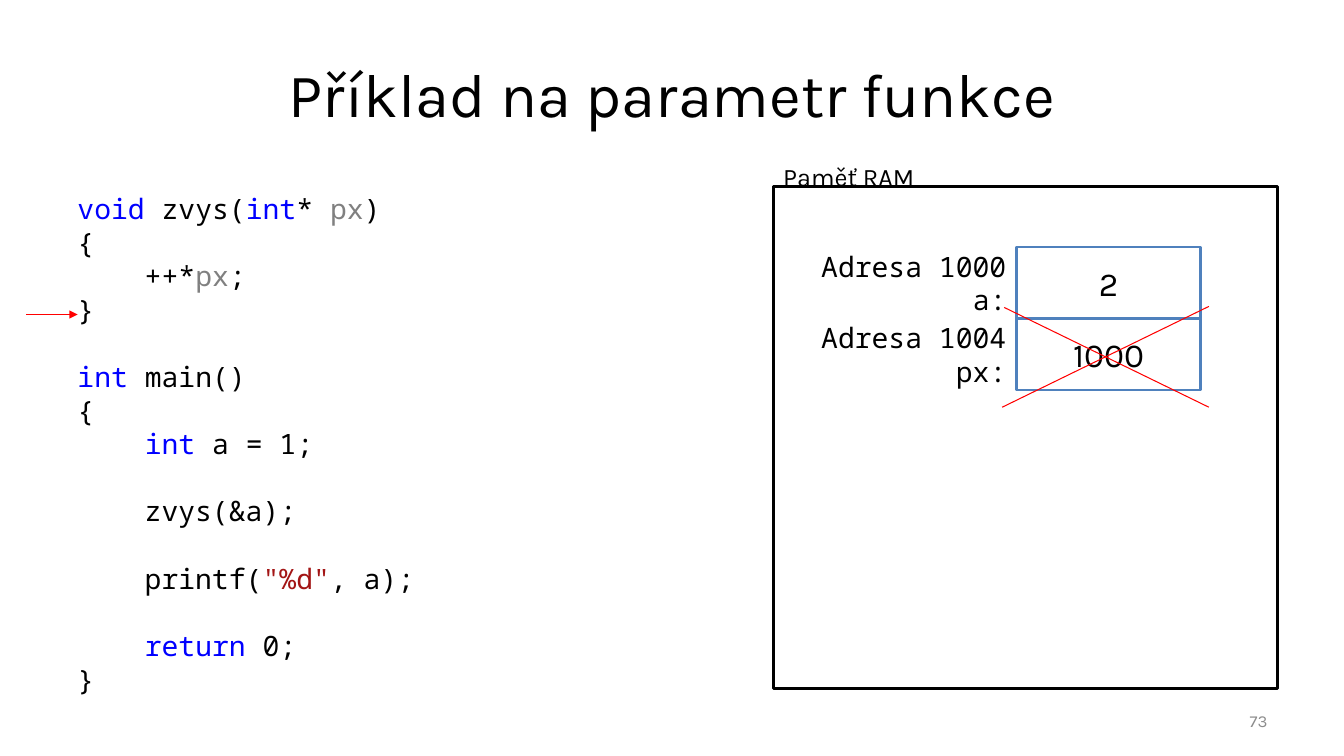
from lxml import etree
from pptx import Presentation
from pptx.dml.color import RGBColor
from pptx.enum import shapes, text
from pptx.oxml.ns import qn
from pptx.util import Inches, Pt

BLACK = RGBColor(0x00, 0x00, 0x00)
WHITE = RGBColor(0xFF, 0xFF, 0xFF)
GRAY = RGBColor(0x8C, 0x8C, 0x8C)
CELL_BLUE = RGBColor(0x4F, 0x81, 0xBD)
KEYWORD = RGBColor(0x00, 0x00, 0xFF)
PARAMETER = RGBColor(0x80, 0x80, 0x80)
STRING = RGBColor(0xA3, 0x15, 0x15)
RED = RGBColor(0xFF, 0x00, 0x00)

SANS = "Karla"
MONO = "Noto Sans Mono"
CODE_SIZE = 20
CODE_LINE = Pt(24)

CODE = [
    [("void ", KEYWORD), ("zvys(", BLACK), ("int", KEYWORD), ("* ", BLACK),
     ("px", PARAMETER), (")", BLACK)],
    [("{", BLACK)],
    [("    ++*", BLACK), ("px", PARAMETER), (";", BLACK)],
    [("}", BLACK)],
    None,
    [("int ", KEYWORD), ("main()", BLACK)],
    [("{", BLACK)],
    [("    ", BLACK), ("int", KEYWORD), (" a = 1;", BLACK)],
    None,
    [("    zvys(&a);", BLACK)],
    None,
    [("    printf(", BLACK), ('"%d"', STRING), (", a);", BLACK)],
    None,
    [("    ", BLACK), ("return", KEYWORD), (" 0;", BLACK)],
    [("}", BLACK)],
]

MEMORY = [("Adresa 1000", "a:", "2"), ("Adresa 1004", "px:", "1000")]


def add_run(paragraph, words, size, font, color=BLACK):
    run = paragraph.add_run()
    run.text = words
    run.font.size = Pt(size)
    run.font.name = font
    run.font.color.rgb = color


def add_label(slide, box, lines, size, font, color=BLACK,
              align=text.PP_ALIGN.LEFT, anchor=text.MSO_ANCHOR.TOP):
    frame = slide.shapes.add_textbox(*map(Inches, box)).text_frame
    frame.word_wrap = True
    frame.vertical_anchor = anchor
    for index, line in enumerate(lines):
        paragraph = frame.add_paragraph() if index else frame.paragraphs[0]
        paragraph.alignment = align
        if font == MONO:
            paragraph.line_spacing = CODE_LINE
        add_run(paragraph, line, size, font, color)


def add_code(slide, box):
    frame = slide.shapes.add_textbox(*map(Inches, box)).text_frame
    frame.word_wrap = True
    paragraph = frame.paragraphs[0]
    after_gap = False
    for index, tokens in enumerate(CODE):
        if tokens is None:
            after_gap = True
            continue
        if index:
            paragraph = frame.add_paragraph()
        paragraph.line_spacing = CODE_LINE
        if after_gap:
            paragraph.space_before = CODE_LINE
        after_gap = False
        for words, color in tokens:
            add_run(paragraph, words, CODE_SIZE, MONO, color)


def add_box(slide, box, border, value=None):
    rectangle = slide.shapes.add_shape(
        shapes.MSO_SHAPE.RECTANGLE, *map(Inches, box))
    rectangle.shadow.inherit = False
    rectangle.fill.solid()
    rectangle.fill.fore_color.rgb = WHITE
    rectangle.line.color.rgb = border
    rectangle.line.width = Pt(2)
    if value:
        frame = rectangle.text_frame
        frame.vertical_anchor = text.MSO_ANCHOR.MIDDLE
        frame.paragraphs[0].alignment = text.PP_ALIGN.CENTER
        add_run(frame.paragraphs[0], value, 24, SANS)


def add_red_line(slide, ends, arrow=False):
    connector = slide.shapes.add_connector(
        shapes.MSO_CONNECTOR.STRAIGHT, *map(Inches, ends))
    connector.line.color.rgb = RED
    connector.line.width = Pt(0.75)
    if arrow:
        outline = connector.line._get_or_add_ln()
        etree.SubElement(outline, qn("a:tailEnd"), type="triangle")
    etree.SubElement(connector._element.spPr, qn("a:effectLst"))


def add_title(slide, words):
    title = slide.shapes.title
    title.left, title.top = Inches(0.67), Inches(0.3)
    title.width, title.height = Inches(12), Inches(1.25)
    frame = title.text_frame
    frame.vertical_anchor = text.MSO_ANCHOR.MIDDLE
    frame.paragraphs[0].alignment = text.PP_ALIGN.CENTER
    add_run(frame.paragraphs[0], words, 44, SANS)


def add_memory(slide):
    add_box(slide, (7.67, 1.85, 5, 4.98), BLACK)
    add_label(slide, (7.67, 1.55, 1.86, 0.4), ["Paměť RAM"], 18, SANS)
    cell_height = 0.71
    for row, (address, variable, value) in enumerate(MEMORY):
        top = 2.45 + row * cell_height
        add_box(slide, (10.08, top, 1.83, cell_height), CELL_BLUE, value)
        add_label(slide, (8, top - 0.03, 2.08, 0.77), [address, variable],
                  CODE_SIZE, MONO, align=text.PP_ALIGN.RIGHT,
                  anchor=text.MSO_ANCHOR.MIDDLE)


def main():
    presentation = Presentation()
    presentation.slide_width = Inches(13.33)
    presentation.slide_height = Inches(7.5)
    slide = presentation.slides.add_slide(presentation.slide_layouts[5])
    add_title(slide, "Příklad na parametr funkce")
    add_label(slide, (9.56, 6.95, 3.11, 0.4), ["73"], 12, SANS, GRAY,
              text.PP_ALIGN.RIGHT, text.MSO_ANCHOR.MIDDLE)
    add_memory(slide)
    add_code(slide, (0.67, 1.85, 5, 5.12))
    add_red_line(slide, (0.26, 3.12, 0.77, 3.12), arrow=True)
    add_red_line(slide, (9.94, 4.04, 11.99, 3.04))
    add_red_line(slide, (11.99, 4.04, 9.96, 3.05))
    presentation.save("out.pptx")


if __name__ == "__main__":
    main()
